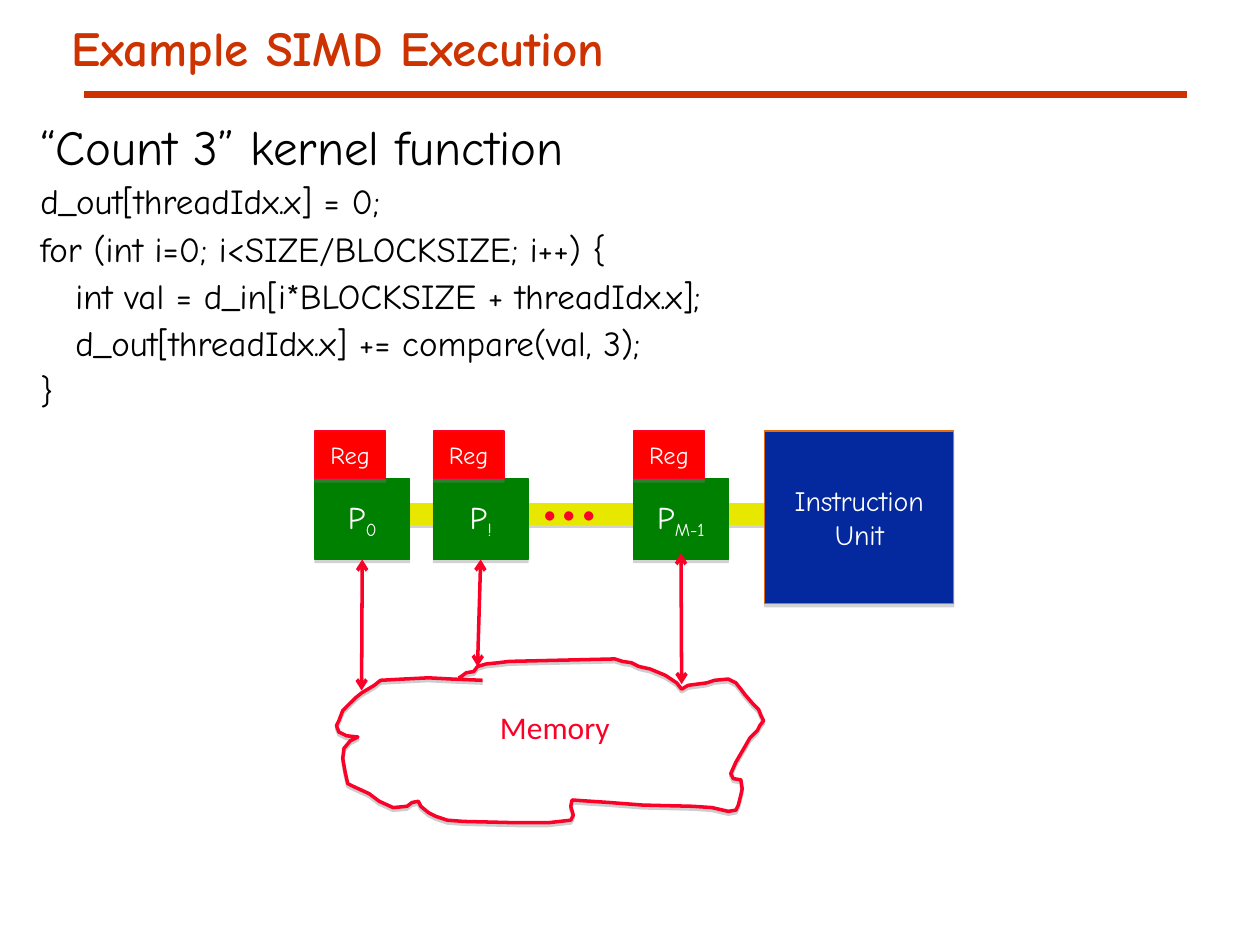
from lxml.etree import SubElement
from pptx import Presentation
from pptx.dml.color import RGBColor
from pptx.enum.shapes import MSO_CONNECTOR as Connector, MSO_SHAPE as Shape
from pptx.enum.text import MSO_ANCHOR as Anchor, PP_ALIGN as Align
from pptx.oxml.ns import qn
from pptx.util import Inches, Pt

RUST = RGBColor(0xCC, 0x33, 0x00)
BLACK = RGBColor(0x00, 0x00, 0x00)
WHITE = RGBColor(0xFF, 0xFF, 0xFF)
YELLOW = RGBColor(0xE7, 0xE7, 0x00)
GREEN = RGBColor(0x00, 0x80, 0x00)
RED = RGBColor(0xFF, 0x00, 0x00)
CRIMSON = RGBColor(0xFC, 0x01, 0x28)
BLUE = RGBColor(0x04, 0x28, 0x9D)
ORANGE = RGBColor(0xE4, 0x6C, 0x0A)
HAND, SANS = "Comic Neue", "Calibri"

TITLE = "Example SIMD Execution"
HEADING = "“Count 3” kernel function"
CODE = [
    "d_out[threadIdx.x] = 0;",
    "for (int i=0; i<SIZE/BLOCKSIZE; i++) {",
    "   int val = d_in[i*BLOCKSIZE + threadIdx.x];",
    "   d_out[threadIdx.x] += compare(val, 3);",
    "}",
]
PROCESSORS = [
    {"index": "0", "left": 2.5, "arrow_top": 4.44, "arrow_end": (2.87, 5.48)},
    {"index": "!", "left": 3.44, "arrow_top": 4.44, "arrow_end": (3.79, 5.29)},
    {"index": "M-1", "left": 5.03, "arrow_top": 4.39, "arrow_end": (5.41, 5.43)},
]
PROC_TOP, PROC_W, PROC_H = 3.8, 0.75, 0.64
REG_W, REG_H = 0.56, 0.38
CLOUD = [
    (3.83, 5.4), (3.59, 5.39), (3.4, 5.38), (3.2, 5.39), (3.02, 5.4), (2.97, 5.44),
    (2.87, 5.5), (2.82, 5.54), (2.76, 5.6), (2.72, 5.64), (2.69, 5.72), (2.67, 5.76),
    (2.69, 5.81), (2.75, 5.84), (2.84, 5.85), (2.78, 5.88), (2.73, 5.94), (2.72, 6.02),
    (2.74, 6.13), (2.76, 6.22), (2.8, 6.24), (2.93, 6.3), (3.01, 6.36), (3.12, 6.41),
    (3.23, 6.4), (3.27, 6.37), (3.32, 6.36), (3.34, 6.4), (3.4, 6.45), (3.46, 6.48),
    (3.55, 6.51), (3.68, 6.52), (4.1, 6.53), (4.35, 6.53), (4.53, 6.51), (4.55, 6.47),
    (4.53, 6.4), (4.54, 6.35), (4.84, 6.37), (5.1, 6.39), (5.5, 6.4), (5.65, 6.41),
    (5.78, 6.44), (5.84, 6.43), (5.86, 6.39), (5.88, 6.31), (5.89, 6.26), (5.88, 6.19),
    (5.82, 6.18), (5.8, 6.14), (5.84, 6.05), (5.91, 5.93), (5.95, 5.86), (6.01, 5.8),
    (6.03, 5.76), (6.06, 5.72), (6.04, 5.68), (6.02, 5.63), (5.97, 5.58), (5.91, 5.51),
    (5.88, 5.47), (5.84, 5.42), (5.78, 5.39), (5.67, 5.4), (5.61, 5.42), (5.46, 5.44),
    (5.41, 5.47), (5.37, 5.42), (5.28, 5.36), (5.16, 5.31), (5.07, 5.29), (5.01, 5.26),
    (4.94, 5.25), (4.88, 5.23), (4.04, 5.25), (3.96, 5.26), (3.86, 5.27), (3.79, 5.29),
    (3.76, 5.33), (3.7, 5.34), (3.66, 5.37), (3.64, 5.38),
]

deck = Presentation()
deck.slide_width, deck.slide_height = Inches(10), Inches(7.5)
slide = deck.slides.add_slide(deck.slide_layouts[6])


def write(frame, text, size=18, font=HAND, color=WHITE, bold=False, align=Align.LEFT,
          spacing=None, before=None, subscript="", first=True):
    paragraph = frame.paragraphs[0] if first else frame.add_paragraph()
    paragraph.alignment = align
    if spacing:
        paragraph.line_spacing = spacing
    if before:
        paragraph.space_before = Pt(before)
    for part, offset in ((text, None), (subscript, "-25000")):
        if not part:
            continue
        run = paragraph.add_run()
        run.text = part
        run.font.size, run.font.name, run.font.bold = Pt(size), font, bold
        run.font.color.rgb = color
        if offset:
            run.font._element.set("baseline", offset)


def text_box(left, top, width, height, inset=(0.1, 0.05), wrap=True):
    frame = slide.shapes.add_textbox(*map(Inches, (left, top, width, height))).text_frame
    frame.word_wrap = wrap
    frame.margin_left = frame.margin_right = Inches(inset[0])
    frame.margin_top = frame.margin_bottom = Inches(inset[1])
    return frame


def drop_shadow(shape, distance=1.8, opacity=35):
    shape.shadow.inherit = False
    effects = shape._element.spPr.find(qn("a:effectLst"))
    shadow = SubElement(effects, qn("a:outerShdw"), blurRad="0", dist=str(Pt(distance)),
                        dir="5400000", rotWithShape="0")
    tint = SubElement(shadow, qn("a:srgbClr"), val="808080")
    SubElement(tint, qn("a:alpha"), val=str(opacity * 1000))


def block(left, top, width, height, fill, outline):
    box = slide.shapes.add_shape(Shape.RECTANGLE, *map(Inches, (left, top, width, height)))
    box.fill.solid()
    box.fill.fore_color.rgb = fill
    box.line.color.rgb = outline
    box.line.width = Pt(0.75)
    drop_shadow(box)
    box.text_frame.word_wrap = True
    box.text_frame.vertical_anchor = Anchor.MIDDLE
    return box.text_frame


def connect(start, end, color, width, arrows=False):
    link = slide.shapes.add_connector(Connector.STRAIGHT, *map(Inches, (*start, *end)))
    link.line.color.rgb = color
    link.line.width = Pt(width)
    if arrows:
        outline = link.line._get_or_add_ln()
        for tip in ("a:headEnd", "a:tailEnd"):
            SubElement(outline, qn(tip), type="arrow")
    SubElement(link._element.spPr, qn("a:effectLst"))


connect((0.67, 0.75), (9.42, 0.75), RUST, 3.75)
write(text_box(0.5, 0.17, 9, 1.25, inset=(0.07, 0.03)), TITLE,
      size=28, color=RUST, bold=True, spacing=0.87)

kernel = text_box(0.25, 1, 6.25, 2.76, inset=(0.07, 0.03))
write(kernel, HEADING, size=28, color=BLACK, spacing=0.75)
for code_line in CODE:
    write(kernel, code_line, size=20, color=BLACK, spacing=0.75, before=9, first=False)

block(3.06, 4, 3, 0.16, YELLOW, YELLOW)
unit = block(6.07, 3.42, 1.5, 1.37, BLUE, ORANGE)
write(unit, "Instruction", size=16, align=Align.CENTER)
write(unit, "Unit", size=16, align=Align.CENTER, first=False)

cloud_start, *cloud_rest = [(Inches(x), Inches(y)) for x, y in CLOUD]
cloud_outline = slide.shapes.build_freeform(*cloud_start)
cloud_outline.add_line_segments(cloud_rest, close=False)
memory = cloud_outline.convert_to_shape()
memory.fill.background()
memory.line.color.rgb = CRIMSON
memory.line.width = Pt(2)
drop_shadow(memory, distance=1.6, opacity=38)

for processor in PROCESSORS:
    left = processor["left"]
    write(block(left, PROC_TOP, PROC_W, PROC_H, GREEN, GREEN), "P",
          subscript=processor["index"], align=Align.CENTER)
    write(block(left, PROC_TOP - REG_H, REG_W, REG_H, RED, CRIMSON), "Reg",
          size=14, align=Align.CENTER)
    connect((left + PROC_W / 2, processor["arrow_top"]), processor["arrow_end"],
            CRIMSON, 2, arrows=True)

write(text_box(4.19, 3.47, 0.84, 0.84), "...", size=44, font=SANS, color=CRIMSON)
write(text_box(3.87, 5.57, 1.07, 0.4, wrap=False), "Memory", font=SANS, color=CRIMSON)

deck.save("out.pptx")
